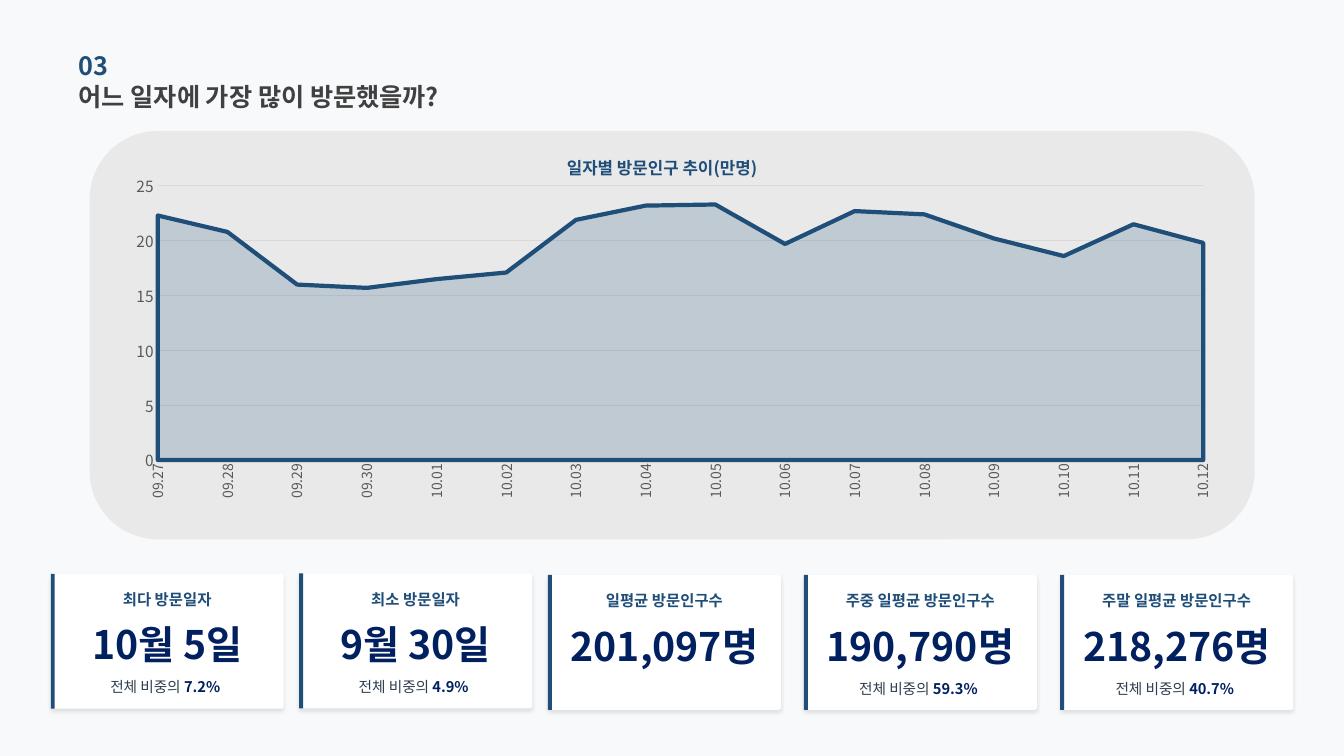
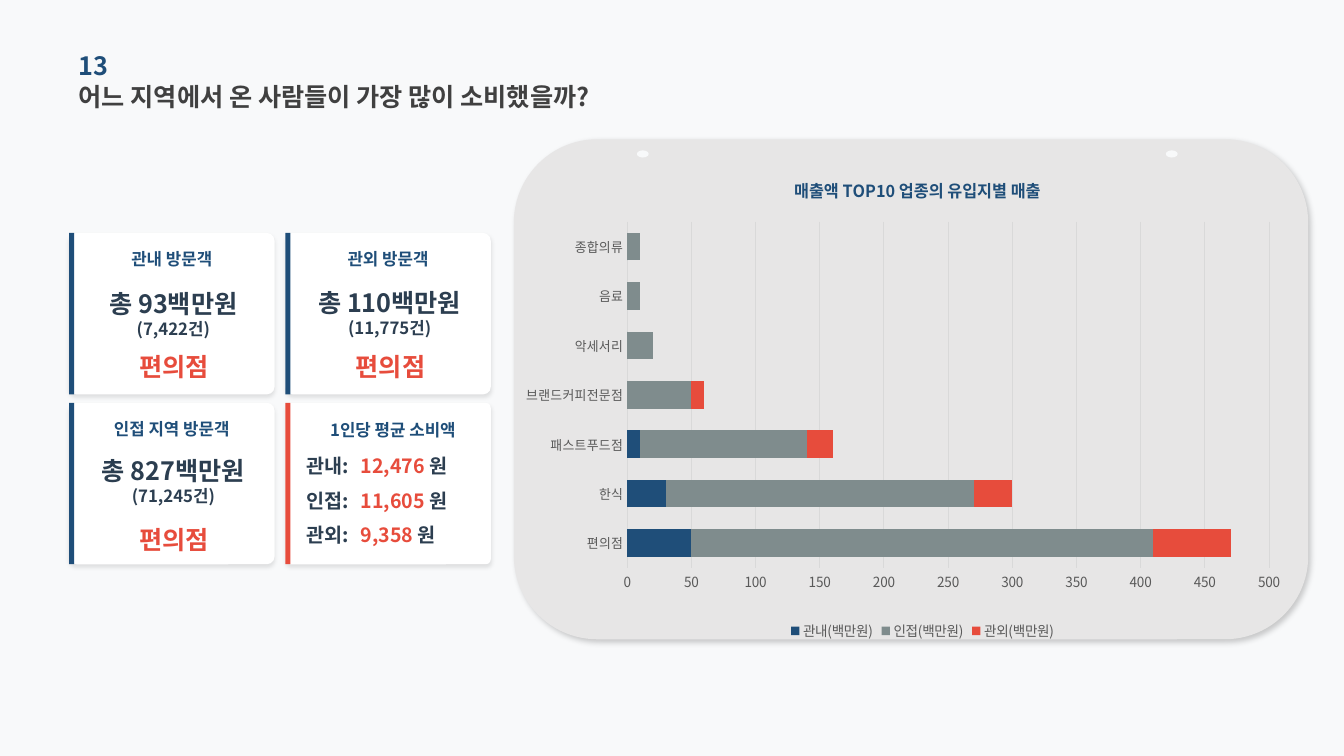
from lxml import etree
from pptx import Presentation
from pptx.chart.data import CategoryChartData
from pptx.dml.color import RGBColor
from pptx.enum.chart import XL_CHART_TYPE, XL_LEGEND_POSITION, XL_TICK_MARK
from pptx.enum.shapes import MSO_SHAPE
from pptx.enum.text import MSO_ANCHOR, MSO_AUTO_SIZE, PP_ALIGN
from pptx.oxml.ns import qn
from pptx.util import Cm, Pt

NAVY = RGBColor(0x1F, 0x4E, 0x79)
DEEP_NAVY = RGBColor(0x00, 0x20, 0x60)
SLATE = RGBColor(0x2C, 0x3E, 0x50)
RED = RGBColor(0xE7, 0x4C, 0x3C)
GRAY = RGBColor(0x7F, 0x8C, 0x8D)
CHARCOAL = RGBColor(0x40, 0x40, 0x40)
AXIS_TEXT = RGBColor(0x59, 0x59, 0x59)
GRID = RGBColor(0xD9, 0xD9, 0xD9)
MIST = RGBColor(0xD0, 0xCE, 0xCE)
PANEL = RGBColor(0xE7, 0xE6, 0xE6)
PAPER = RGBColor(0xF8, 0xF9, 0xFA)
WHITE = RGBColor(0xFF, 0xFF, 0xFF)
BLACK = RGBColor(0x00, 0x00, 0x00)

FONT = "Noto Sans CJK KR"
RECTANGLE = MSO_SHAPE.RECTANGLE
ROUNDED = MSO_SHAPE.ROUNDED_RECTANGLE
OVAL = MSO_SHAPE.OVAL
LEFT = PP_ALIGN.LEFT
CENTER = PP_ALIGN.CENTER
MIDDLE = MSO_ANCHOR.MIDDLE
NO_AUTOFIT = MSO_AUTO_SIZE.NONE
AREA = XL_CHART_TYPE.AREA
STACKED_BARS = XL_CHART_TYPE.BAR_STACKED
LEGEND_BOTTOM = XL_LEGEND_POSITION.BOTTOM
NO_TICK = XL_TICK_MARK.NONE
TITLE_ONLY = 5


def lengths(box):
    return [Cm(value) for value in box]


def set_font(font, size, color, bold=False):
    font.size, font.bold = Pt(size), bold
    font.color.rgb = color
    font.name = FONT
    properties = font._rPr
    properties.set("kern", "0")
    east_asian = etree.Element(qn("a:ea"), typeface=FONT)
    properties.find(qn("a:latin")).addnext(east_asian)


def write(frame, paragraphs, align=LEFT):
    frame.auto_size = NO_AUTOFIT
    frame.word_wrap = True
    frame.vertical_anchor = MIDDLE
    frame.margin_left = frame.margin_right = 0
    frame.margin_top = frame.margin_bottom = 0
    for index, spans in enumerate(paragraphs):
        para = frame.add_paragraph() if index else frame.paragraphs[0]
        para.alignment = align
        for text, size, color, bold in spans:
            span = para.add_run()
            span.text = text
            set_font(span.font, size, color, bold)


def add_text(page, box, paragraphs, align=LEFT):
    write(page.shapes.add_textbox(*lengths(box)).text_frame, paragraphs, align)


def set_alpha(fill, percent):
    color = fill._xPr.find(qn("a:solidFill"))[0]
    etree.SubElement(color, qn("a:alpha"), val=str(percent * 1000))


def add_block(page, kind, box, color, shadow=None, corner=None):
    block = page.shapes.add_shape(kind, *lengths(box))
    block.fill.solid()
    block.fill.fore_color.rgb = color
    block.line.fill.background()
    block.shadow.inherit = False
    if corner is not None:
        block.adjustments[0] = corner
    if shadow:
        percent, blur, distance, degrees = shadow
        effects = block._element.spPr.find(qn("a:effectLst"))
        outer = etree.SubElement(
            effects, qn("a:outerShdw"), blurRad=str(Pt(blur)), dist=str(Pt(distance)),
            dir=str(degrees * 60000), algn="ctr", rotWithShape="0")
        tint = etree.SubElement(outer, qn("a:srgbClr"), val=str(BLACK))
        etree.SubElement(tint, qn("a:alpha"), val=str(percent * 1000))
    return block


def add_page(deck, number, question):
    page = deck.slides.add_slide(deck.slide_layouts[TITLE_ONLY])
    title = page.shapes.title
    title.left, title.top, title.width, title.height = lengths((1.98, 1.9, 14, 1.04))
    write(title.text_frame, [[(question, 18, CHARCOAL, True)]])
    add_text(page, (1.98, 1.12, 11.48, 1.04), [[(number, 18, NAVY, True)]])
    return page


def add_card(page, box, accent, bar_width, corner):
    left, top, width, height = box
    add_block(page, ROUNDED, box, WHITE, (10, 3, 2, 90), corner)
    add_block(page, RECTANGLE, (left, top, bar_width, height), accent)


def add_figure_card(page, box, label, value, share):
    left, top, width, height = box
    add_card(page, box, NAVY, 0.1, 0.018)
    add_text(page, (left, top + 0.37, width, 0.56), [[(label, 11, NAVY, True)]], CENTER)
    add_text(page, (left, top + 1.29, width, 0.97), [[(value, 28, DEEP_NAVY, True)]], CENTER)
    if share:
        spans = [("전체 비중의 ", 10.5, SLATE, False), (share, 10.5, DEEP_NAVY, True)]
        add_text(page, (left, top + 2.59, width - 0.1, 0.53), [spans], CENTER)


def add_visitor_card(page, box, label, amount, count, store, amount_drop, store_drop):
    left, top, width, height = box
    add_card(page, box, NAVY, 0.13, 0.048)
    add_text(page, (left, top + 0.26, width, 0.79), [[(label, 12, NAVY, True)]], CENTER)
    add_text(page, (left + 0.04, top + amount_drop, width, 1.19),
             [[(amount, 18, SLATE, True)], [(count, 12, SLATE, True)]], CENTER)
    add_text(page, (left + 0.06, top + store_drop, width, 1.19),
             [[(store, 18, RED, True)]], CENTER)


def add_average_card(page, box, label, rows):
    left, top, width, height = box
    add_card(page, box, RED, 0.13, 0.032)
    add_text(page, (left + 1.13, top + 0.36, 3.7, 0.64), [[(label, 12, NAVY, True)]])
    for index, (region, amount) in enumerate(rows):
        row_top = top + 1.2 + index * 0.88
        add_text(page, (left + 0.53, row_top, 1.5, 0.75), [[(region, 14, SLATE, True)]])
        add_text(page, (left + 1.9, row_top, 3.2, 0.75),
                 [[(amount + " ", 14, RED, True), ("원", 14, SLATE, True)]])


def place_in_chart(parent, index, place, inner=False):
    for old in parent.findall(qn("c:layout")):
        parent.remove(old)
    layout = etree.Element(qn("c:layout"))
    manual = etree.SubElement(layout, qn("c:manualLayout"))
    if inner:
        etree.SubElement(manual, qn("c:layoutTarget"), val="inner")
    for axis in "xy":
        etree.SubElement(manual, qn(f"c:{axis}Mode"), val="edge")
    for name, value in zip("xywh", place):
        etree.SubElement(manual, qn(f"c:{name}"), val=str(value))
    parent.insert(index, layout)


def clear_fill():
    properties = etree.Element(qn("c:spPr"))
    etree.SubElement(properties, qn("a:noFill"))
    line = etree.SubElement(properties, qn("a:ln"))
    etree.SubElement(line, qn("a:noFill"))
    return properties


def add_graph(page, kind, box, categories, series, title, title_place, plot_place,
              label_size, value_size, maximum, step):
    data = CategoryChartData()
    data.categories = categories
    for name, values in series:
        data.add_series(name, values)
    chart = page.shapes.add_chart(kind, *lengths(box), data).chart
    set_font(chart.font, 10, BLACK)
    chart.has_legend = False
    chart.has_title = True
    span = chart.chart_title.text_frame.paragraphs[0].add_run()
    span.text = title
    set_font(span.font, 12, NAVY, True)
    chart.plots[0].vary_by_categories = False

    labels, scale = chart.category_axis, chart.value_axis
    for axis, size in ((labels, label_size), (scale, value_size)):
        axis.major_tick_mark = axis.minor_tick_mark = NO_TICK
        set_font(axis.tick_labels.font, size, AXIS_TEXT)
    labels.has_major_gridlines = False
    scale.has_major_gridlines = True
    for line in (labels.format.line, scale.major_gridlines.format.line):
        line.color.rgb = GRID
        line.width = Pt(0.75)
    scale.format.line.fill.background()
    scale.minimum_scale, scale.maximum_scale, scale.major_unit = 0, maximum, step

    space = chart._chartSpace
    plot_area = space.find(".//" + qn("c:plotArea"))
    place_in_chart(plot_area, 0, plot_place, True)
    place_in_chart(space.find(".//" + qn("c:title")), 1, title_place)
    plot_area.append(clear_fill())
    space.find(qn("c:txPr")).addprevious(clear_fill())
    return chart


def add_trend(page, box):
    days = [f"09.{day}" for day in range(27, 31)] + [f"10.{day:02}" for day in range(1, 13)]
    visitors = (22.3, 20.8, 16, 15.7, 16.5, 17.1, 21.9, 23.2,
                23.3, 19.7, 22.7, 22.4, 20.2, 18.6, 21.5, 19.8)
    left, top, width, height = box
    panel = add_block(page, ROUNDED, box, MIST)
    set_alpha(panel.fill, 36)
    chart = add_graph(page, AREA, (left + 0.5, top + 0.1, width - 1.09, height + 0.07),
                      days, [("Series 1", visitors)], "일자별 방문인구 추이(만명)",
                      (0.405, 0.035), (0.043, 0.124, 0.932, 0.667), 10, 11, 25, 5)
    area = chart.plots[0].series[0]
    area.format.fill.solid()
    area.format.fill.fore_color.rgb = NAVY
    set_alpha(area.format.fill, 20)
    area.format.line.color.rgb = NAVY
    area.format.line.width = Pt(3)
    body = chart.category_axis._element.find(qn("c:txPr")).find(qn("a:bodyPr"))
    body.set("rot", "-5400000")
    body.set("vert", "horz")
    chart.value_axis._element.find(qn("c:crossBetween")).set("val", "midCat")


def add_sales(page, box):
    stores = ("편의점", "한식", "패스트푸드점", "브랜드커피전문점", "악세서리", "음료", "종합의류")
    sales = (("관내(백만원)", (50, 30, 10, 0, 0, 0, 0)),
             ("인접(백만원)", (360, 240, 130, 50, 20, 10, 10)),
             ("관외(백만원)", (60, 30, 20, 10, 0, 0, 0)))
    left, top, width, height = box
    add_block(page, ROUNDED, box, PANEL, (20, 4, 3, 45))
    for hole_left in (3.1, 16.43):
        add_block(page, OVAL, (left + hole_left, top + 0.28, 0.3, 0.18), PAPER)
    chart = add_graph(page, STACKED_BARS, (left + 0.31, top + 0.45, width - 0.68, height - 0.31),
                      stores, sales, "매출액 TOP10 업종의 유입지별 매출",
                      (0.323, 0.031), (0.102, 0.133, 0.865, 0.709), 9.5, 10, 500, 50)
    bars = chart.plots[0]
    bars.gap_width, bars.overlap = 80, 100
    for series, color in zip(bars.series, (NAVY, GRAY, RED)):
        series.format.fill.solid()
        series.format.fill.fore_color.rgb = color
    chart.has_legend = True
    chart.legend.position = LEGEND_BOTTOM
    chart.legend.include_in_layout = False
    set_font(chart.legend.font, 10, AXIS_TEXT)


def build_dates(deck):
    page = add_page(deck, "03", "어느 일자에 가장 많이 방문했을까?")
    add_trend(page, (2.26, 3.3, 29.36, 10.29))
    figures = ((1.28, 14.46, "최다 방문일자", "10월 5일", "7.2%"),
               (7.54, 14.45, "최소 방문일자", "9월 30일", "4.9%"),
               (13.81, 14.49, "일평균 방문인구수", "201,097명", None),
               (20.26, 14.49, "주중 일평균 방문인구수", "190,790명", "59.3%"),
               (26.72, 14.49, "주말 일평균 방문인구수", "218,276명", "40.7%"))
    for left, top, label, value, share in figures:
        add_figure_card(page, (left, top, 5.87, 3.4), label, value, share)


def build_regions(deck):
    page = add_page(deck, "13", "어느 지역에서 온 사람들이 가장 많이 소비했을까?")
    add_sales(page, (12.95, 3.51, 20.02, 12.6))
    lefts, tops, size = (1.74, 7.19), (5.87, 10.15), (5.18, 4.07)
    boxes = [(left, top, *size) for top in tops for left in lefts]
    visitors = (("관내 방문객", "총 93백만원", "(7,422건)", "편의점", 1.43, 2.77),
                ("관외 방문객", "총 110백만원", "(11,775건)", "편의점", 1.41, 2.77),
                ("인접 지역 방문객", "총 827백만원", "(71,245건)", "편의점", 1.36, 2.84))
    for box, details in zip(boxes, visitors):
        add_visitor_card(page, box, *details)
    add_average_card(page, boxes[3], "1인당 평균 소비액",
                     (("관내:", "12,476"), ("인접:", "11,605"), ("관외:", "9,358")))


def main():
    deck = Presentation()
    deck.slide_width, deck.slide_height = Cm(33.87), Cm(19.05)
    backdrop = deck.slide_master.background.fill
    backdrop.solid()
    backdrop.fore_color.rgb = PAPER
    build_dates(deck)
    build_regions(deck)
    deck.save("out.pptx")


if __name__ == "__main__":
    main()
